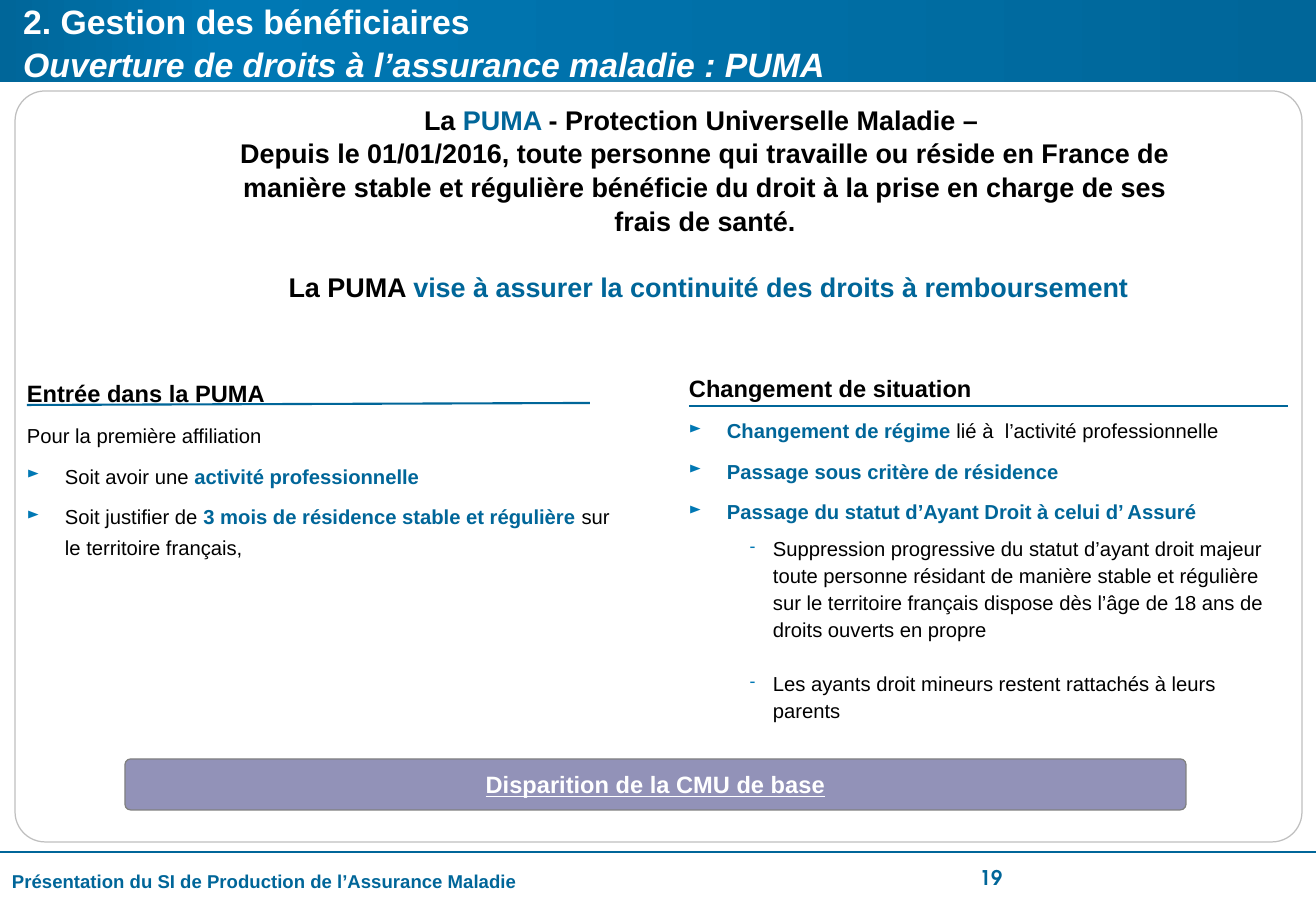
from copy import deepcopy

from lxml import etree
from pptx import Presentation, util as u
from pptx.dml.color import RGBColor
from pptx.enum import shapes, text
from pptx.oxml import ns

PX = 7526  # EMU per pixel
COLOURS = {
    "accent": "006699", "bright": "0078B4", "white": "FFFFFF", "black": "000000",
    "frame": "BFBFBF", "banner": "262673", "banner edge": "808080",
}
RGB = {name: RGBColor.from_string(value) for name, value in COLOURS.items()}
CENTER = text.PP_ALIGN.CENTER
MIDDLE = text.MSO_ANCHOR.MIDDLE

presentation = Presentation()
presentation.slide_width, presentation.slide_height = 1316 * PX, 911 * PX
slide = presentation.slides.add_slide(presentation.slide_layouts[5])
title = slide.shapes.title


def add_text_box(left, top, width, height, insets=(0, 0, 0, 0)):
    box = slide.shapes.add_textbox(left * PX, top * PX, width * PX, height * PX)
    frame = box.text_frame
    frame.word_wrap = True
    frame.margin_left, frame.margin_top, frame.margin_right, frame.margin_bottom = (
        inset * PX for inset in insets)
    return frame


def write(frame, wording, size, bold=False, color="black"):
    """Add a paragraph; wording between asterisks is bold and in the accent colour."""
    paragraph = frame.paragraphs[0]
    if paragraph.runs:
        paragraph = frame.add_paragraph()
    paragraph.font.name, paragraph.font.size = "Arial", u.Pt(size)
    for index, part in enumerate(wording.split("*")):
        if part:
            run = paragraph.add_run()
            run.text = part
            run.font.bold = bold or index % 2 == 1
            run.font.color.rgb = RGB["accent" if index % 2 else color]
    return paragraph


# Header band, content frame and bottom banner
panels = {}
for name, kind, left, top, width, height in [
    ("band", shapes.MSO_SHAPE.RECTANGLE, 0, 0, 1316, 82),
    ("frame", shapes.MSO_SHAPE.ROUNDED_RECTANGLE, 15, 91, 1287, 751),
    ("banner", shapes.MSO_SHAPE.ROUNDED_RECTANGLE, 125, 759, 1061, 51),
]:
    panel = slide.shapes.add_shape(kind, left * PX, top * PX, width * PX, height * PX)
    panel.shadow.inherit = False
    panel.line.width = u.Pt(0.75)
    panels[name] = panel

band = panels["band"]
band.line.fill.background()
band.fill.gradient()
band.fill.gradient_angle = 0
stop_list = band._element.spPr.find(".//" + ns.qn("a:gsLst"))
stop_list.append(deepcopy(stop_list[-1]))
for stop, position, color in zip(
        band.fill.gradient_stops, (0, 0.17, 1), ("accent", "bright", "accent")):
    stop.position = position
    stop.color.rgb = RGB[color]

for name, fill, line, corner in [
    ("frame", "white", "frame", 0.04), ("banner", "banner", "banner edge", 0.11),
]:
    panel = panels[name]
    panel.fill.solid()
    panel.fill.fore_color.rgb = RGB[fill]
    panel.line.color.rgb = RGB[line]
    panel.adjustments[0] = corner

banner = panels["banner"]
banner_color = banner._element.spPr.find(ns.qn("a:solidFill"))[0]
etree.SubElement(banner_color, ns.qn("a:alpha"), val="50000")
banner.text_frame.vertical_anchor = MIDDLE
paragraph = write(banner.text_frame, "Disparition de la CMU de base", 14, True, "white")
paragraph.alignment = CENTER
paragraph.runs[0].font.underline = True

# Title, brought in front of the band
slide.shapes._spTree.append(title._element)
title.left, title.top, title.width, title.height = 11 * PX, 2 * PX, 1281 * PX, 78 * PX
title.text_frame.vertical_anchor = MIDDLE
title.text_frame.auto_size = text.MSO_AUTO_SIZE.NONE
paragraph = write(title.text_frame, "2. Gestion des bénéficiaires", 20, True, "white")
paragraph.alignment = text.PP_ALIGN.LEFT
paragraph.line_spacing = 1.08
paragraph.add_line_break()
subtitle = write(title.text_frame, "Ouverture de droits à l’assurance maladie : PUMA",
                 20, True, "white").runs[0]
subtitle.font.italic = True
second = title.text_frame.paragraphs[1]
paragraph._p.append(subtitle._r)
title.text_frame._txBody.remove(second._p)

# Introduction
intro = add_text_box(218, 102, 974, 200, (12, 0, 12, 0))
for wording, space_before in [
    ("La *PUMA *- Protection Universelle Maladie – ", 0),
    ("Depuis le 01/01/2016, toute personne qui travaille ou réside en France de manière "
     "stable et régulière bénéficie du droit à la prise en charge de ses frais de santé.", 0),
    (" La PUMA *vise à assurer la continuité des droits à remboursement*", 19),
]:
    paragraph = write(intro, wording, 16, bold=True)
    paragraph.alignment = CENTER
    paragraph.line_spacing = 1.04
    paragraph.space_before = u.Pt(space_before)

# Two columns: style, wording
# Style: size, bold, line spacing, space after, left margin, hanging indent, bullet
STYLES = {
    "heading": (14, True, 18, 6, 0, 0, None),
    "plain": (12, False, 18, 6, 0, 0, None),
    "arrow": (12, False, 18, 6, 38, 38, "►"),
    "dash": (12, False, 16, 16, 84, 23, "-"),
}
COLUMNS = [
    (27, 377, 183, [
        ("heading", "Entrée dans la PUMA"),
        ("plain", "Pour la première affiliation"),
        ("arrow", "Soit avoir une *activité professionnelle*"),
        ("arrow", "Soit justifier de *3 mois de résidence stable et régulière *"
                  "sur le territoire français,"),
    ]),
    (689, 372, 375, [
        ("heading", "Changement de situation"),
        ("arrow", "*Changement de régime *lié à  l’activité professionnelle"),
        ("arrow", "*Passage sous critère de résidence*"),
        ("arrow", "*Passage du statut d’Ayant Droit à celui d’ Assuré*"),
        ("dash", "Suppression progressive du statut d’ayant droit majeur toute personne "
                 "résidant de manière stable et régulière sur le territoire français "
                 "dispose dès l’âge de 18 ans de droits ouverts en propre"),
        ("dash", "Les ayants droit mineurs restent rattachés à leurs parents"),
    ]),
]
for left, top, height, entries in COLUMNS:
    column = add_text_box(left, top, 599, height, (0, 0, 10, 0))
    for style, wording in entries:
        size, bold, spacing, after, margin, hanging, bullet = STYLES[style]
        paragraph = write(column, wording, size, bold)
        paragraph.line_spacing, paragraph.space_after = u.Pt(spacing), u.Pt(after)
        if bullet:
            properties = paragraph._p.get_or_add_pPr()
            properties.set("marL", str(margin * PX))
            properties.set("indent", str(-hanging * PX))
            bullet_color = etree.Element(ns.qn("a:buClr"))
            etree.SubElement(bullet_color, ns.qn("a:srgbClr"), val=COLOURS["bright"])
            bullet_size = etree.Element(ns.qn("a:buSzPct"), val="80000")
            bullet_char = etree.Element(ns.qn("a:buChar"), char=bullet)
            defaults = properties.find(ns.qn("a:defRPr"))
            for element in (bullet_color, bullet_size, bullet_char):
                defaults.addprevious(element)

# Heading rules and footer rule
for x1, y1, x2, y2, width in [
    (27, 405, 590, 403, 1.25), (689, 406, 1288, 406, 1.25), (0, 852, 1316, 852, 1.5),
]:
    rule = slide.shapes.add_connector(
        shapes.MSO_CONNECTOR.STRAIGHT, x1 * PX, y1 * PX, x2 * PX, y2 * PX)
    rule.line.color.rgb = RGB["accent"]
    rule.line.width = u.Pt(width)
    etree.SubElement(rule._element.spPr, ns.qn("a:effectLst"))

# Footer
footer = add_text_box(0, 864, 864, 35, (12, 6, 12, 6))
write(footer, "Présentation du SI de Production de l’Assurance Maladie", 11, True, "accent")
number = add_text_box(954, 864, 74, 27)
number.vertical_anchor = MIDDLE
paragraph = write(number, "19", 12, True, "accent")
paragraph.font.name = "TeX Gyre Adventor"
paragraph.alignment = CENTER

presentation.save("out.pptx")
